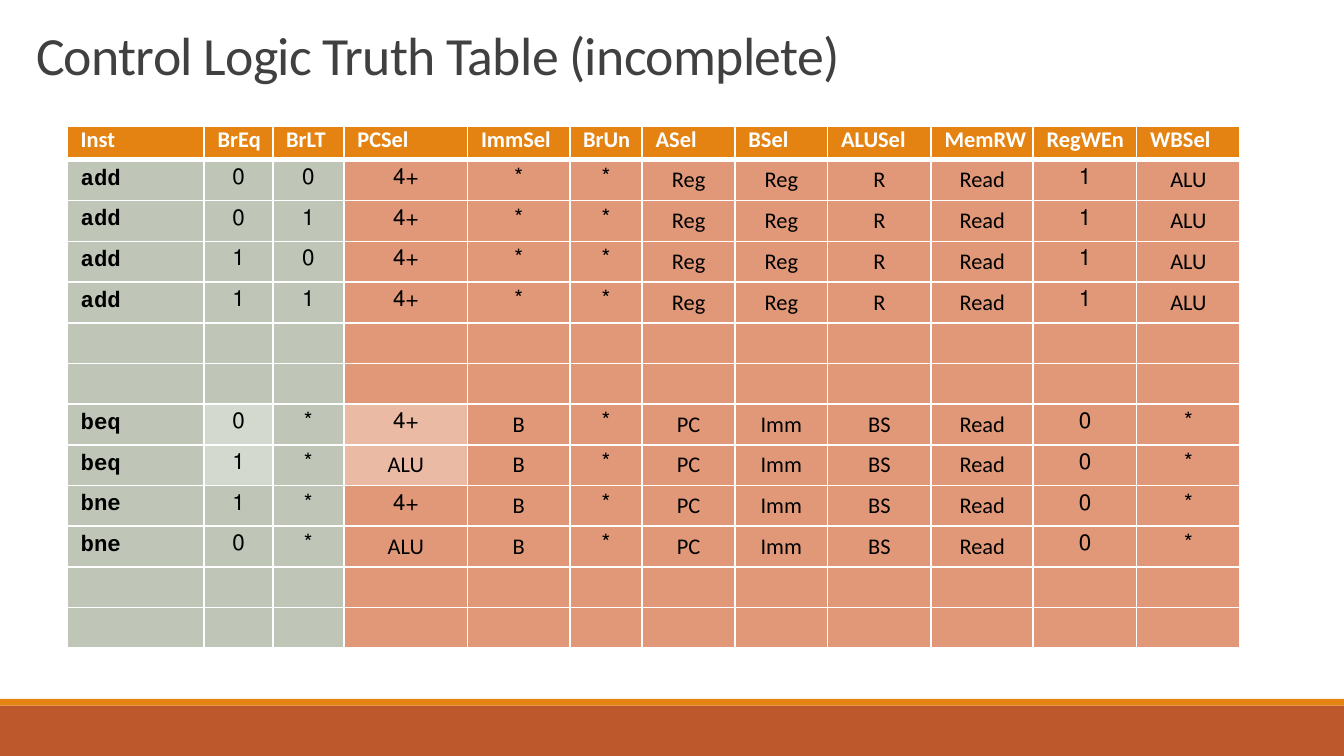
from dataclasses import dataclass
from typing import Any

import pptx
import pptx.dml.color
import pptx.enum.shapes
import pptx.enum.text
import pptx.oxml.ns
import pptx.util
from lxml import etree


@dataclass(frozen=True)
class Theme:
    rust: str = "BD582C"
    orange: str = "E48312"
    heading: str = "404040"
    ink: str = "000000"
    white: str = "FFFFFF"
    input_fill: str = "BFC6B8"
    input_light: str = "D4D9CF"
    output_fill: str = "E09878"
    output_light: str = "EABAA5"
    font: str = "Calibri"
    code_font: str = "Courier New"
    title_size: float = 28.8
    cell_size: float = 12
    grid_line: float = 1
    header_line: float = 3


@dataclass(frozen=True)
class Signal:
    """A table column; width in hundredths of an inch."""
    name: str
    width: int


@dataclass(frozen=True)
class Area:
    """A box in grid units of a hundredth of an inch."""
    left: float
    top: float
    width: float
    height: float

    def lengths(self) -> list[int]:
        return [grid(n) for n in (self.left, self.top, self.width, self.height)]


THEME = Theme()
SLIDE = Area(0, 0, 1000, 562.5)
TITLE = Area(17, 33, 944, 36)
BANDS = [(Area(0, 525, 1000, 37.5), THEME.rust), (Area(0, 520, 1000, 5), THEME.orange)]
TABLE_LEFT, TABLE_TOP, HEADER_HEIGHT, ROW_HEIGHT = 50, 94, 25, 30.3

SIGNALS = [
    Signal("Inst", 102), Signal("BrEq", 51), Signal("BrLT", 53), Signal("PCSel", 92),
    Signal("ImmSel", 76), Signal("BrUn", 54), Signal("ASel", 69), Signal("BSel", 69),
    Signal("ALUSel", 77), Signal("MemRW", 76), Signal("RegWEn", 77), Signal("WBSel", 77),
]
INPUT_COUNT = 3
ADD_OUTPUTS = ["+4", "*", "*", "Reg", "Reg", "R", "Read", "1", "ALU"]
BRANCH_OUTPUTS = ["B", "*", "PC", "Imm", "BS", "Read", "0", "*"]
EMPTY_ROW = [""] * len(SIGNALS)


def branch_row(instruction: str, equal: str, pc_select: str) -> list[str]:
    return [instruction, equal, "*", pc_select, *BRANCH_OUTPUTS]


ROWS = [
    *[["add", equal, less, *ADD_OUTPUTS] for equal in "01" for less in "01"],
    EMPTY_ROW, EMPTY_ROW,
    branch_row("beq", "0", "+4"), branch_row("beq", "1", "ALU"),
    branch_row("bne", "1", "+4"), branch_row("bne", "0", "ALU"),
    EMPTY_ROW, EMPTY_ROW,
]
LIGHT_FILLS = {("beq", "BrEq"): THEME.input_light, ("beq", "PCSel"): THEME.output_light}


def grid(units: float) -> int:
    return pptx.util.Inches(units / 100)


def rgb(value: str) -> pptx.dml.color.RGBColor:
    return pptx.dml.color.RGBColor.from_string(value)


def add_span(para: Any, text: str, font: str, size: float, color: str,
             bold: bool = False) -> Any:
    span = para.add_run()
    span.text = text
    span.font.name = font
    span.font.size = pptx.util.Pt(size)
    span.font.bold = bold
    span.font.color.rgb = rgb(color)
    return span


def add_band(slide: Any, area: Area, color: str) -> None:
    band = slide.shapes.add_shape(pptx.enum.shapes.MSO_SHAPE.RECTANGLE, *area.lengths())
    band.shadow.inherit = False
    band.fill.solid()
    band.fill.fore_color.rgb = rgb(color)
    band.line.fill.background()


def add_title(slide: Any, text: str) -> None:
    frame = slide.shapes.add_textbox(*TITLE.lengths()).text_frame
    frame.word_wrap = True
    frame.vertical_anchor = pptx.enum.text.MSO_ANCHOR.BOTTOM
    para = frame.paragraphs[0]
    para.line_spacing = 0.85
    span = add_span(para, text, THEME.font, THEME.title_size, THEME.heading)
    span.font._element.set("spc", "-40")


def style_cell(cell: Any, fill: str, top: float, bottom: float) -> None:
    properties = cell._tc.get_or_add_tcPr()
    edges = {"L": THEME.grid_line, "R": THEME.grid_line, "T": top, "B": bottom}
    for edge, width in edges.items():
        line = etree.SubElement(properties, pptx.oxml.ns.qn(f"a:ln{edge}"),
                                w=str(pptx.util.Pt(width)))
        solid = etree.SubElement(line, pptx.oxml.ns.qn("a:solidFill"))
        etree.SubElement(solid, pptx.oxml.ns.qn("a:srgbClr"), val=THEME.white)
    cell.fill.solid()
    cell.fill.fore_color.rgb = rgb(fill)


def write_header(cell: Any, signal: Signal) -> None:
    style_cell(cell, THEME.orange, THEME.grid_line, THEME.header_line)
    cell.margin_top = cell.margin_right = cell.margin_bottom = 0
    para = cell.text_frame.paragraphs[0]
    para._p.get_or_add_pPr().set("rtl", "1")
    add_span(para, signal.name, THEME.font, THEME.cell_size, THEME.white, bold=True)


def write_value(cell: Any, text: str, is_code: bool) -> None:
    para = cell.text_frame.paragraphs[0]
    para._p.get_or_add_pPr().set("rtl", "1")
    if not is_code:
        para.alignment = pptx.enum.text.PP_ALIGN.CENTER
    if text:
        font = THEME.code_font if is_code else THEME.font
        add_span(para, text, font, THEME.cell_size, THEME.ink, bold=is_code)
    else:
        etree.SubElement(para._p, pptx.oxml.ns.qn("a:endParaRPr"),
                         sz=str(int(THEME.cell_size * 100)))


def add_truth_table(slide: Any) -> None:
    area = Area(TABLE_LEFT, TABLE_TOP, sum(signal.width for signal in SIGNALS),
                HEADER_HEIGHT + ROW_HEIGHT * len(ROWS))
    table = slide.shapes.add_table(len(ROWS) + 1, len(SIGNALS), *area.lengths()).table
    table.first_row = table.horz_banding = False
    for row in table.rows:
        row.height = grid(ROW_HEIGHT)
    table.rows[0].height = grid(HEADER_HEIGHT)

    for column, signal in enumerate(SIGNALS):
        table.columns[column].width = grid(signal.width)
        write_header(table.cell(0, column), signal)
        base_fill = THEME.input_fill if column < INPUT_COUNT else THEME.output_fill
        for number, values in enumerate(ROWS, start=1):
            cell = table.cell(number, column)
            fill = LIGHT_FILLS.get((values[0], signal.name), base_fill)
            top = THEME.header_line if number == 1 else THEME.grid_line
            style_cell(cell, fill, top, THEME.grid_line)
            write_value(cell, values[column], is_code=column == 0)


def main() -> None:
    deck = pptx.Presentation()
    deck.slide_width, deck.slide_height = grid(SLIDE.width), grid(SLIDE.height)
    slide = deck.slides.add_slide(deck.slide_layouts[6])
    for area, color in BANDS:
        add_band(slide, area, color)
    add_title(slide, "Control Logic Truth Table (incomplete)")
    add_truth_table(slide)
    deck.save("out.pptx")


if __name__ == "__main__":
    main()
